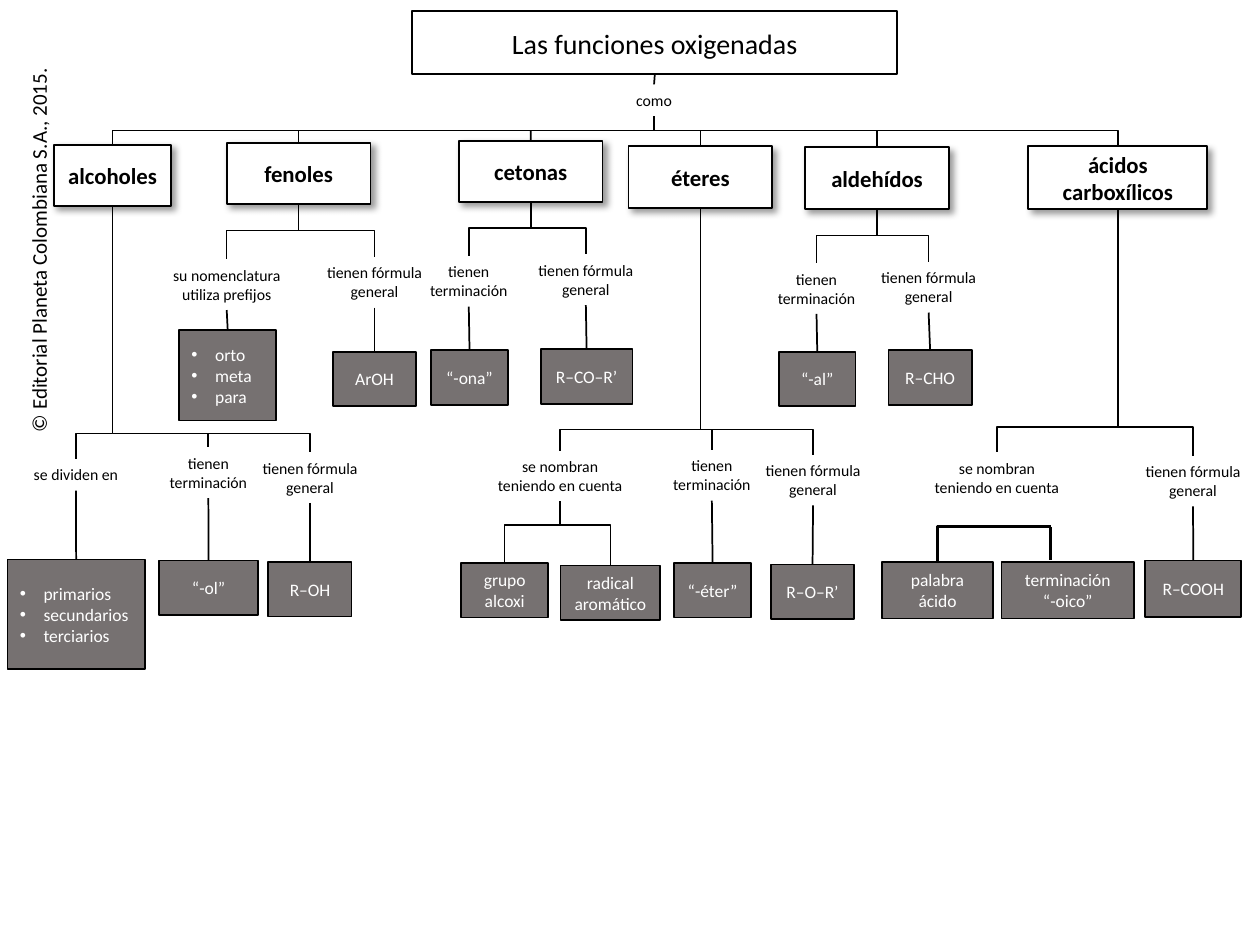
"""Build a concept map of the oxygenated functional groups."""
from lxml.etree import SubElement
from pptx import Presentation
from pptx.dml.color import RGBColor
from pptx.enum.shapes import MSO_CONNECTOR as CONN, MSO_SHAPE as SHAPE
from pptx.enum.text import MSO_ANCHOR as ANCHOR, MSO_AUTO_SIZE as AUTO, PP_ALIGN as ALIGN
from pptx.oxml.ns import qn
from pptx.util import Cm, Pt

rgb = RGBColor.from_string
prs = Presentation()
prs.slide_width, prs.slide_height = Cm(25.4), Cm(19.05)
slide = prs.slides.add_slide(prs.slide_layouts[6])


def box(text, x, y, w, h, size=9, color="000000", fill=None, bold=False,
        bullets=False, shadow=False, wrap=True, align=ALIGN.CENTER):
    pos = Cm(x), Cm(y), Cm(w), Cm(h)
    if fill:
        s = slide.shapes.add_shape(SHAPE.RECTANGLE, *pos)
        s.fill.solid()
        s.fill.fore_color.rgb = rgb(fill)
        s.line.color.rgb = rgb("000000")
        s.line.width = Pt(1)
        s.shadow.inherit = False
    else:
        s = slide.shapes.add_textbox(*pos)
    if shadow:
        effects = s._element.spPr.find(qn("a:effectLst"))
        outer = SubElement(effects, qn("a:outerShdw"), blurRad=str(Pt(4)),
                           dist=str(Pt(3)), dir="2700000", algn="tl", rotWithShape="0")
        black = SubElement(outer, qn("a:srgbClr"), val="000000")
        SubElement(black, qn("a:alpha"), val="40000")
    tf = s.text_frame
    tf.word_wrap = wrap
    tf.auto_size = AUTO.NONE if fill else AUTO.SHAPE_TO_FIT_TEXT
    tf.vertical_anchor = ANCHOR.MIDDLE if fill else ANCHOR.TOP
    for i, line in enumerate(text.split("\n")):
        p = tf.add_paragraph() if i else tf.paragraphs[0]
        p.alignment = ALIGN.LEFT if bullets else align
        if bullets:
            pPr = p._p.get_or_add_pPr()
            pPr.set("marL", str(Cm(0.48)))
            pPr.set("indent", str(-Cm(0.48)))
            SubElement(pPr, qn("a:buFont"), typeface="Arial")
            SubElement(pPr, qn("a:buChar"), char="•")
        r = p.add_run()
        r.text = line
        r.font.name, r.font.size, r.font.bold = "Calibri", Pt(size), bold
        r.font.color.rgb = rgb(color)
    return s


def link(x1, y1, x2, y2, kind="line", bar=None, begin=None, end=None, width=1):
    if kind == "bentConnector3":
        w, h = y2 - y1, abs(x2 - x1)
        left, top = (x1 + x2 - w) / 2, (y1 + y2 - h) / 2
        ends = (left + w, left) if x2 > x1 else (left, left + w)
        pos = ends[0], top, ends[1], top + h
    else:
        pos = x1, y1, x2, y2
    style = CONN.STRAIGHT if kind == "line" else CONN.ELBOW
    c = slide.shapes.add_connector(style, *[Cm(v) for v in pos])
    c.line.color.rgb = rgb("000000")
    c.line.width = Pt(width)
    spPr = c._element.spPr
    SubElement(spPr, qn("a:effectLst"))
    geom = spPr.find(qn("a:prstGeom"))
    geom.set("prst", kind)
    if kind == "bentConnector3":
        spPr.find(qn("a:xfrm")).set("rot", "16200000" if x2 > x1 else "5400000")
        ratio = round((bar - y1) / (y2 - y1) * 100000)
        SubElement(geom.find(qn("a:avLst")), qn("a:gd"), name="adj1", fmla=f"val {ratio}")
    if begin is not None:
        c.begin_connect(begin, 2)
    if end is not None:
        c.end_connect(end, 0)


FORMULA, ENDING = "tienen fórmula general", "tienen terminación"
NAMED = "se nombran teniendo en cuenta"
GREY = dict(size=10, color="FFFFFF", fill="767171")
ROOT_X, ROOT_BAR = 13.19, 2.63

branches = [
    ("alcoholes", (1.09, 2.92, 2.36, 1.24), 8.74, [
        ("se dividen en", (0.3, 9.25, 2.46, 0.64),
         "primarios\nsecundarios\nterciarios", (0.15, 11.28, 2.77, 2.21)),
        (ENDING, (2.97, 9.02, 2.46, 1.02), "“-ol”", (3.2, 11.3, 2.01, 1.1)),
        (FORMULA, (4.8, 9.12, 2.9, 1.02), "R–OH", (5.41, 11.33, 1.68, 1.1))]),
    ("fenoles", (4.57, 2.88, 2.9, 1.24), 4.65, [
        (FORMULA, (6.1, 5.18, 2.9, 1.02), "ArOH", (6.71, 7.09, 1.68, 1.1)),
        ("su nomenclatura utiliza prefijos", (3.12, 5.23, 2.9, 1.02),
         "orto\nmeta\npara", (3.61, 6.65, 1.96, 1.83))]),
    ("cetonas", (9.25, 2.84, 2.9, 1.24), 4.6, [
        (FORMULA, (10.36, 5.13, 2.9, 1.02), "R–CO–R’", (10.9, 7.04, 1.85, 1.1)),
        (ENDING, (8, 5.16, 2.9, 1.02), "“-ona”", (8.69, 7.06, 1.55, 1.1))]),
    ("éteres", (12.67, 2.95, 2.9, 1.24), 8.66, [
        (NAMED, (9.78, 9.09, 3.02, 1.02), None, None),
        (ENDING, (12.9, 9.07, 2.9, 1.02), "“-éter”", (13.59, 11.35, 1.55, 1.1)),
        (FORMULA, (14.94, 9.17, 2.9, 1.02), "R–O–R’", (15.54, 11.38, 1.68, 1.1))]),
    ("aldehídos", (16.23, 2.97, 2.9, 1.24), 4.75, [
        (FORMULA, (17.27, 5.28, 2.9, 1.02), "R–CHO", (17.91, 7.06, 1.68, 1.1)),
        (ENDING, (15.01, 5.31, 2.9, 1.02), "“-al”", (15.7, 7.09, 1.55, 1.1))]),
    ("ácidos carboxílicos", (20.73, 2.95, 3.61, 1.27), 8.61, [
        (NAMED, (18.52, 9.12, 3.15, 1.02), None, None),
        (FORMULA, (22.63, 9.19, 2.84, 1.02), "R–COOH", (23.09, 11.3, 1.93, 1.14))]),
]

s = box("© Editorial Planeta Colombiana S.A., 2015.", -3.18, 4.62, 7.92, 0.76,
        size=12, wrap=False, align=ALIGN.LEFT)
s.rotation = 270
title = box("Las funciones oxigenadas", 8.31, 0.23, 9.78, 1.27, size=16, fill="FFFFFF")
como = box("como", 12.45, 1.7, 1.47, 0.64)
link(ROOT_X, 1.5, ROOT_X, 1.7, begin=title, end=como)

for i, (name, (x, y, w, h), bar, children) in enumerate(branches):
    head = box(name, x, y, w, h, size=13, bold=True, fill="FFFFFF", shadow=True)
    mid = x + w / 2
    if i == 0:
        link(ROOT_X, 2.34, mid, y, "bentConnector3", ROOT_BAR)
    elif i == len(branches) - 1:
        link(ROOT_X, ROOT_BAR, mid, y, "bentConnector2")
    else:
        link(mid, ROOT_BAR, mid, y, end=head)
    for j, (text, (lx, ly, lw, lh), leaf_text, leaf_pos) in enumerate(children):
        label = box(text, lx, ly, lw, lh)
        lmid = lx + lw / 2
        if j == 0:
            link(mid, y + h, lmid, ly, "bentConnector3", bar)
        elif j == len(children) - 1:
            link(mid, bar, lmid, ly, "bentConnector2")
        else:
            link(lmid, bar, lmid, ly, end=label)
        if leaf_text:
            leaf = box(leaf_text, *leaf_pos, bullets="\n" in leaf_text, **GREY)
            link(lmid, ly + lh, lmid, leaf_pos[1], begin=label, end=leaf)

box("grupo alcoxi", 9.3, 11.35, 1.75, 1.1, **GREY)
box("radical aromático", 11.3, 11.4, 2.01, 1.1, **GREY)
link(11.29, 10.11, 12.31, 11.4, "bentConnector3", 10.58)
link(11.29, 10.58, 10.17, 11.35, "bentConnector2")

box("palabra ácido", 17.78, 11.33, 2.24, 1.14, **GREY)
box("terminación\n“-oico”", 20.19, 11.33, 2.67, 1.14, **GREY)
link(21.18, 10.62, 18.9, 11.33, "bentConnector2", width=1.5)
link(21.18, 10.62, 21.18, 11.28, width=1.5)

prs.save("out.pptx")
